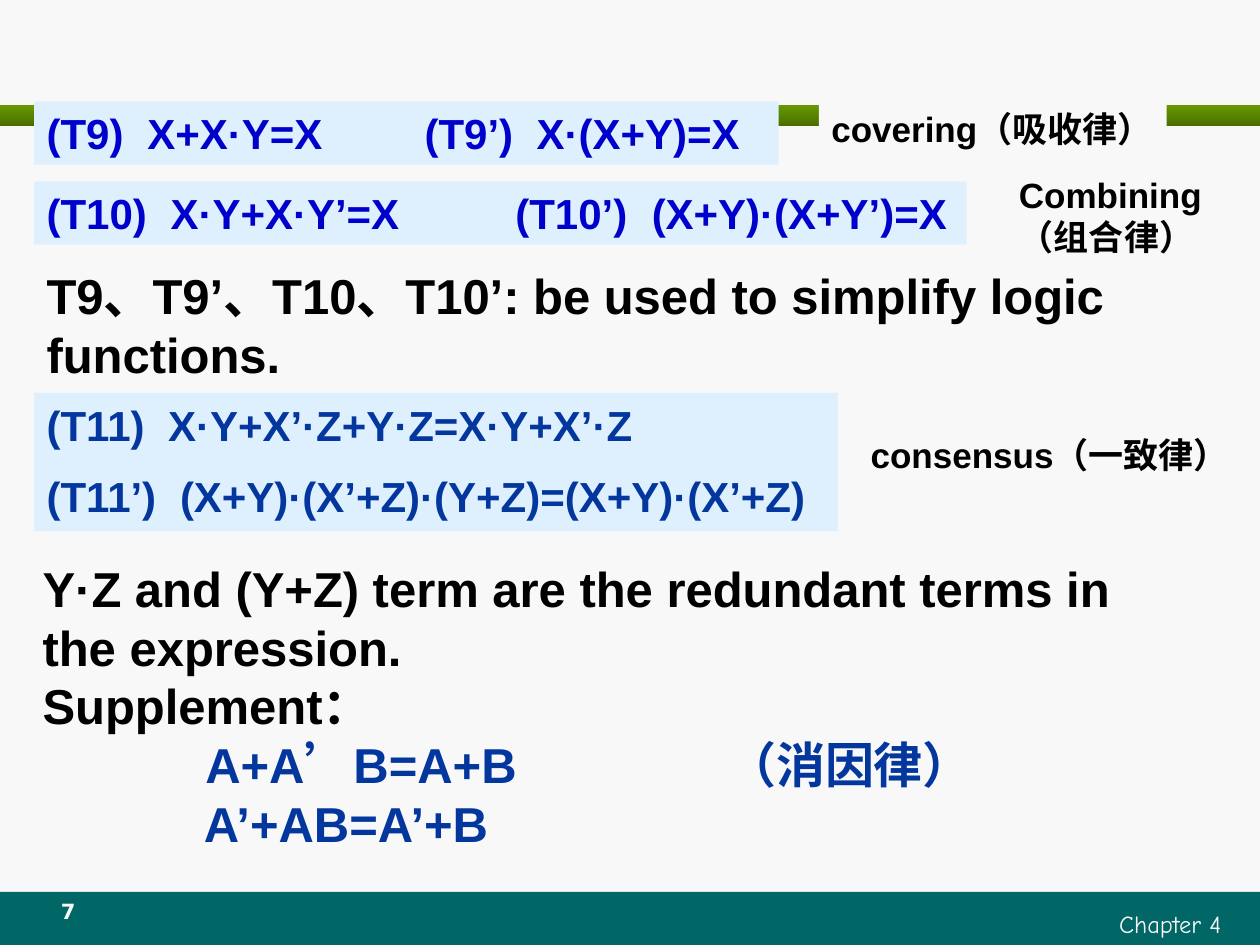
from dataclasses import dataclass
from typing import Optional

from lxml import etree
from pptx import Presentation
from pptx import util as u
from pptx.dml.color import RGBColor
from pptx.enum import shapes, text
from pptx.oxml.ns import qn

COLORS = {
    "paper": "F8F8F8", "footer": "006666", "green": "669900", "dark_green": "496D00",
    "panel": "DEEFFE", "formula": "0000CC", "navy": "04379E", "black": "000000",
}
WIDTH, HEIGHT = 25.4, 19.05


@dataclass
class Line:
    wording: str
    tabs: tuple[float, ...] = ()
    before: float = 0
    color: Optional[str] = None


@dataclass
class Block:
    box: tuple[float, float, float, float]
    lines: list[Line]
    size: float
    color: str = "black"
    fill: Optional[str] = None
    font: str = "Arial"
    bold: Optional[bool] = True
    align: text.PP_ALIGN = text.PP_ALIGN.LEFT


def rgb(name: str) -> RGBColor:
    return RGBColor.from_string(COLORS[name])


def add_bar(slide, top: float, height: float):
    bar = slide.shapes.add_shape(shapes.MSO_SHAPE.RECTANGLE,
                                 u.Cm(0), u.Cm(top), u.Cm(WIDTH), u.Cm(height))
    bar.shadow.inherit = False
    bar.line.fill.background()
    return bar


def add_tabs(paragraph, stops: tuple[float, ...]) -> None:
    tab_list = etree.SubElement(paragraph._p.get_or_add_pPr(), qn("a:tabLst"))
    for stop in stops:
        etree.SubElement(tab_list, qn("a:tab"), pos=str(u.Cm(stop)), algn="l")


def add_block(slide, block: Block) -> None:
    area = [u.Cm(length) for length in block.box]
    if block.fill:
        panel = slide.shapes.add_shape(shapes.MSO_SHAPE.RECTANGLE, *area)
        panel.shadow.inherit = False
        panel.fill.solid()
        panel.fill.fore_color.rgb = rgb(block.fill)
        panel.line.fill.background()
    else:
        panel = slide.shapes.add_textbox(*area)
    frame = panel.text_frame
    frame.word_wrap = True
    frame.vertical_anchor = text.MSO_ANCHOR.TOP
    font_format = {"name": block.font, "size": u.Pt(block.size), "bold": block.bold}
    for index, content in enumerate(block.lines):
        paragraph = frame.add_paragraph() if index else frame.paragraphs[0]
        if content.tabs:
            add_tabs(paragraph, content.tabs)
        paragraph.alignment = block.align
        if content.before:
            paragraph.space_before = u.Pt(content.before)
        run = paragraph.add_run()
        run.text = content.wording
        for attribute, value in font_format.items():
            setattr(run.font, attribute, value)
        run.font.color.rgb = rgb(content.color or block.color)


BLOCKS = [
    Block((14.71, 18.21, 10.16, 0.84), [Line("Chapter 4")], 14, "paper",
          font="Comic Neue", bold=None, align=text.PP_ALIGN.RIGHT),
    Block((0.64, 17.98, 1.47, 0.84), [Line("7")], 12, "paper",
          font="DejaVu Sans", align=text.PP_ALIGN.CENTER),
    Block((0.69, 2.05, 15.01, 1.27),
          [Line("(T9)\tX+X·Y=X\t(T9’)\tX·(X+Y)=X", (2.03, 7.62, 9.88))],
          24, "formula", "panel"),
    Block((0.69, 3.66, 18.8, 1.27),
          [Line("(T10)\tX·Y+X·Y’=X\t(T10’)\t(X+Y)·(X+Y’)=X", (2.5, 9.45, 12.2))],
          24, "formula", "panel"),
    Block((0.69, 7.92, 16.2, 2.79),
          [Line("(T11)\tX·Y+X’·Z+Y·Z=X·Y+X’·Z", (2.45,)),
           Line("(T11’)\t(X+Y)·(X’+Z)·(Y+Z)=(X+Y)·(X’+Z)", (2.69,), before=12)],
          24, "navy", "panel"),
    Block((16.51, 2.05, 7.01, 1.09), [Line("covering（吸收律）")], 20, fill="paper"),
    Block((20.29, 3.38, 4.6, 1.96), [Line("Combining"), Line("（组合律）")], 20),
    Block((17.3, 8.61, 7.75, 1.09), [Line("consensus（一致律）")], 20),
    Block((0.69, 5.23, 23.5, 2.62),
          [Line("T9、T9’、T10、T10’: be used to simplify logic functions.")], 28),
    Block((0.61, 11.13, 23.6, 6.2),
          [Line("Y·Z and (Y+Z) term are the redundant terms in the expression."),
           Line("Supplement："),
           Line("\tA+A’B=A+B\t（消因律）", (3.28, 13.8), color="navy"),
           Line("\tA’+AB=A’+B", (3.25,), color="navy")], 28),
]


def main() -> None:
    deck = Presentation()
    deck.slide_width, deck.slide_height = u.Cm(WIDTH), u.Cm(HEIGHT)
    slide = deck.slides.add_slide(deck.slide_layouts[6])
    slide.background.fill.solid()
    slide.background.fill.fore_color.rgb = rgb("paper")

    footer = add_bar(slide, 17.98, 1.07)
    footer.fill.solid()
    footer.fill.fore_color.rgb = rgb("footer")

    rule = add_bar(slide, 2.12, 0.43)
    rule.fill.gradient()
    rule.fill.gradient_angle = 270
    for stop, shade in zip(rule.fill.gradient_stops, ("green", "dark_green")):
        stop.color.rgb = rgb(shade)

    for block in BLOCKS:
        add_block(slide, block)
    deck.save("out.pptx")


if __name__ == "__main__":
    main()
